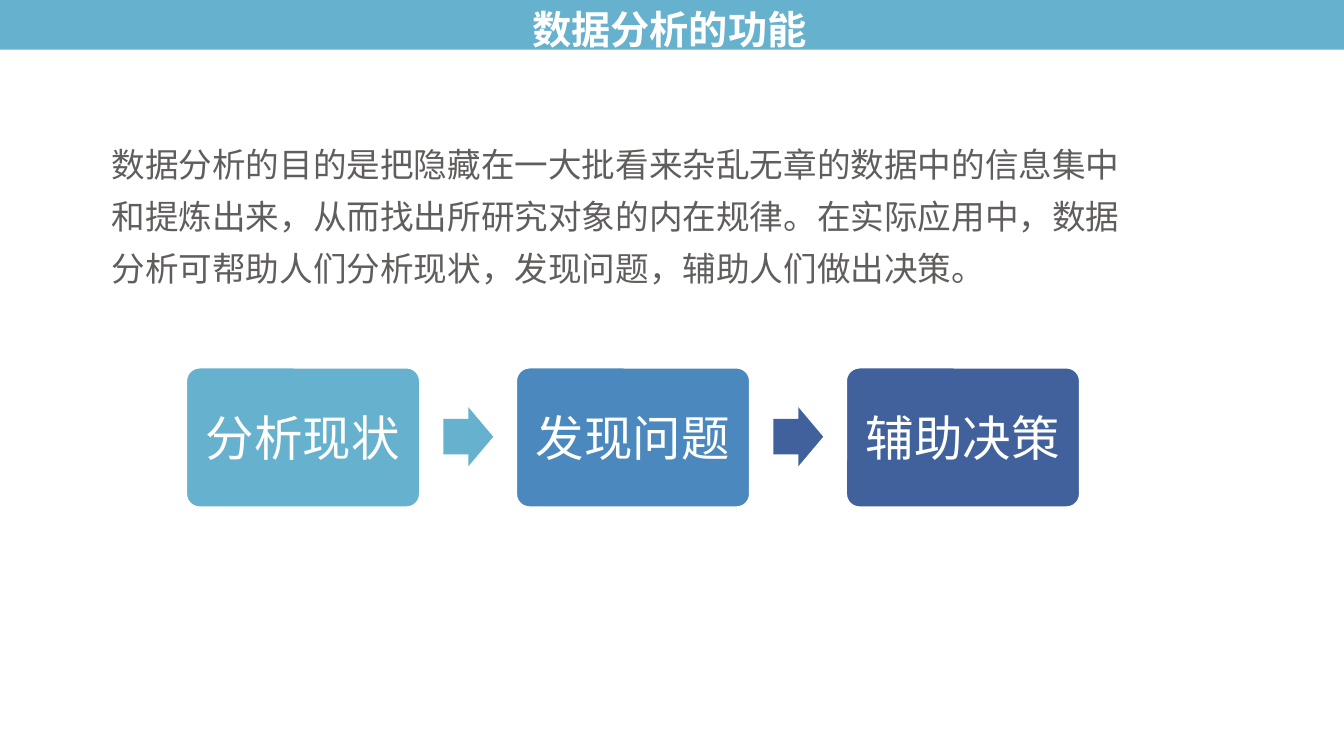
import dataclasses

import pptx
import pptx.dml.color
import pptx.enum.shapes
import pptx.enum.text
import pptx.oxml.ns
import pptx.util
from lxml import etree

Inches = pptx.util.Inches
Pt = pptx.util.Pt
Shape = pptx.enum.shapes.MSO_SHAPE
Align = pptx.enum.text.PP_ALIGN
Anchor = pptx.enum.text.MSO_ANCHOR


@dataclasses.dataclass(frozen=True)
class Theme:
    sky: str = "66B1CE"
    blue: str = "4A88BE"
    navy: str = "40619C"
    white: str = "FFFFFF"
    gray: str = "5F5E5C"
    chinese_font: str = "Noto Sans CJK SC"
    step_font: str = "Cabin"
    title_size: int = 21
    body_size: int = 18
    step_size: int = 26


THEME = Theme()
STEPS = [("分析现状", THEME.sky), ("发现问题", THEME.blue), ("辅助决策", THEME.navy)]
ARROW_COLORS = [THEME.sky, THEME.navy]
INTRODUCTION = (
    "数据分析的目的是把隐藏在一大批看来杂乱无章的数据中的信息集中"
    "和提炼出来，从而找出所研究对象的内在规律。在实际应用中，数据"
    "分析可帮助人们分析现状，发现问题，辅助人们做出决策。"
)


def rgb(color):
    return pptx.dml.color.RGBColor.from_string(color)


def write_text(shape, text, size, color, font_name, align, anchor, bold=False):
    frame = shape.text_frame
    frame.text = text
    frame.word_wrap = True
    frame.auto_size = pptx.enum.text.MSO_AUTO_SIZE.NONE
    frame.vertical_anchor = anchor
    frame.margin_left = frame.margin_right = Inches(0.09)
    frame.margin_top = frame.margin_bottom = Inches(0.05)
    paragraph = frame.paragraphs[0]
    paragraph.alignment = align
    font = paragraph.runs[0].font
    font.size = Pt(size)
    font.bold = bold
    font.color.rgb = rgb(color)
    font.name = font_name
    east_asian = etree.SubElement(
        paragraph.runs[0]._r.get_or_add_rPr(), pptx.oxml.ns.qn("a:ea")
    )
    east_asian.set("typeface", THEME.chinese_font)
    return paragraph


def add_filled_shape(slide, kind, left, top, width, height, color):
    shape = slide.shapes.add_shape(
        kind, Inches(left), Inches(top), Inches(width), Inches(height)
    )
    shape.shadow.inherit = False
    shape.fill.solid()
    shape.fill.fore_color.rgb = rgb(color)
    shape.line.fill.background()
    return shape


def add_title(slide, text):
    bar = add_filled_shape(slide, Shape.RECTANGLE, 0, -0.03, 10, 0.4, THEME.sky)
    title = slide.shapes.title
    title._element.addprevious(bar._element)
    title.left, title.top = Inches(2.26), Inches(-0.01)
    title.width, title.height = Inches(5.44), Inches(0.45)
    write_text(title, text, THEME.title_size, THEME.white, THEME.chinese_font,
               Align.CENTER, Anchor.TOP, bold=True)


def add_introduction(slide, text):
    box = slide.shapes.add_textbox(
        Inches(0.74), Inches(0.93), Inches(7.89), Inches(1.24)
    )
    paragraph = write_text(box, text, THEME.body_size, THEME.gray,
                           THEME.chinese_font, Align.LEFT, Anchor.TOP)
    paragraph.line_spacing = 1.3


def add_step(slide, left, text, color):
    step = add_filled_shape(
        slide, Shape.ROUNDED_RECTANGLE, left, 2.73, 1.75, 1.05, color
    )
    step.adjustments[0] = 0.1
    step.line.color.rgb = rgb(THEME.white)
    step.line.width = Pt(1.75)
    write_text(step, text, THEME.step_size, THEME.white, THEME.step_font,
               Align.CENTER, Anchor.MIDDLE)


def add_arrow(slide, left, color):
    arrow = add_filled_shape(slide, Shape.RIGHT_ARROW, left, 3.03, 0.37, 0.44, color)
    arrow.adjustments[0] = 0.6
    arrow.adjustments[1] = 0.5


def add_process(slide):
    first_left, last_left, arrow_offset = 1.38, 6.29, 1.92
    pitch = (last_left - first_left) / (len(STEPS) - 1)
    for index, (text, color) in enumerate(STEPS):
        left = first_left + index * pitch
        add_step(slide, left, text, color)
        if index < len(ARROW_COLORS):
            add_arrow(slide, left + arrow_offset, ARROW_COLORS[index])


def main():
    presentation = pptx.Presentation()
    presentation.slide_width = Inches(10)
    presentation.slide_height = Inches(10 * 9 / 16)
    slide = presentation.slides.add_slide(presentation.slide_layouts[5])
    add_title(slide, "数据分析的功能")
    add_introduction(slide, INTRODUCTION)
    add_process(slide)
    presentation.save("out.pptx")


if __name__ == "__main__":
    main()
